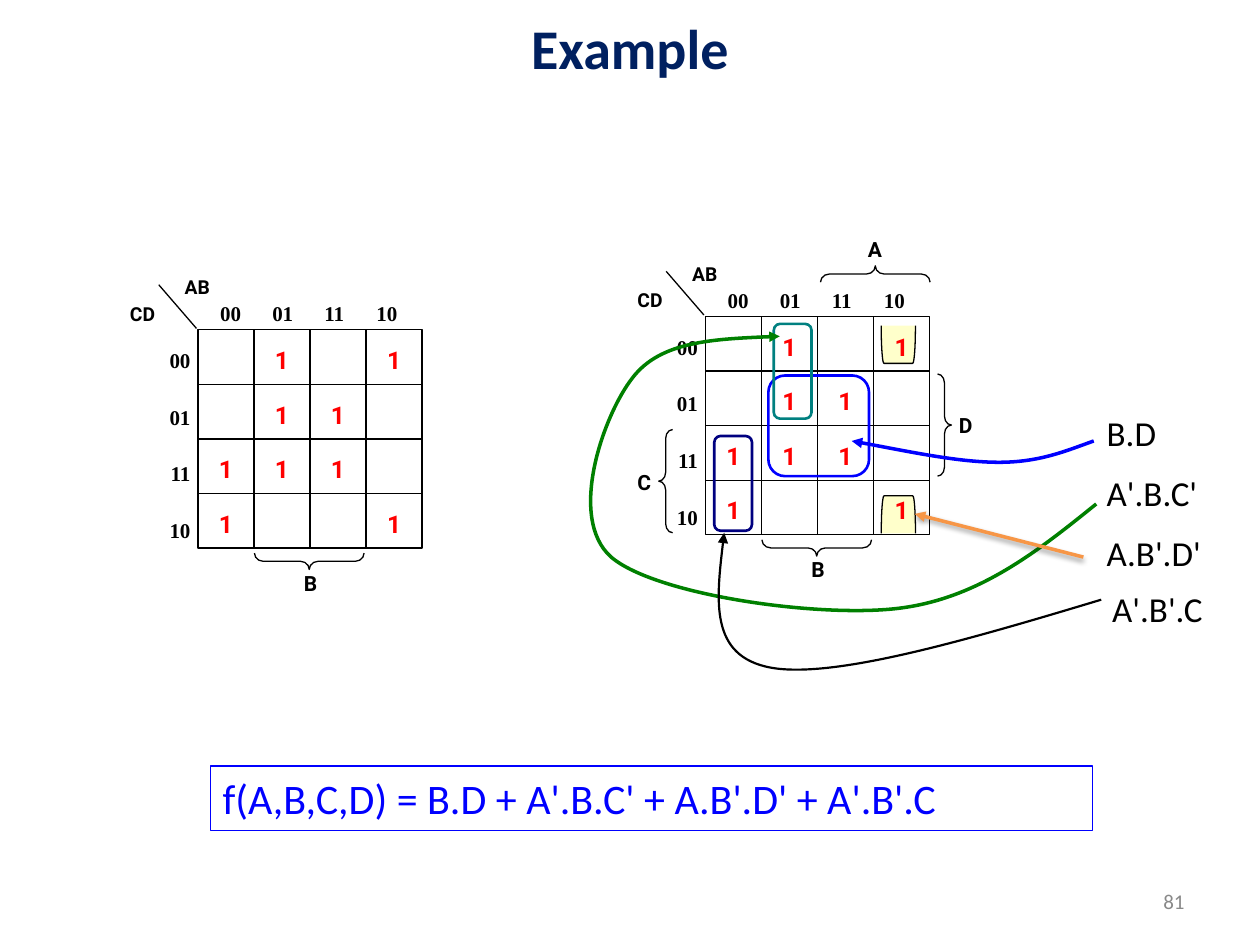
from dataclasses import dataclass
from typing import Any

from lxml import etree
from pptx import Presentation
from pptx.dml.color import RGBColor
from pptx.enum.shapes import MSO_CONNECTOR, MSO_SHAPE
from pptx.enum.text import MSO_ANCHOR, PP_ALIGN
from pptx.oxml.ns import qn
from pptx.util import Cm, Pt

STRAIGHT = MSO_CONNECTOR.STRAIGHT
RECTANGLE, ROUNDED = MSO_SHAPE.RECTANGLE, MSO_SHAPE.ROUNDED_RECTANGLE
LEFT_BRACE, RIGHT_BRACE = MSO_SHAPE.LEFT_BRACE, MSO_SHAPE.RIGHT_BRACE
BRACKET = MSO_SHAPE.LEFT_BRACKET
LEFT, CENTER, RIGHT = PP_ALIGN.LEFT, PP_ALIGN.CENTER, PP_ALIGN.RIGHT
TOP, MIDDLE = MSO_ANCHOR.TOP, MSO_ANCHOR.MIDDLE

Box = tuple[float, float, float, float]
Point = tuple[float, float]

CODES = ["00", "01", "11", "10"]
COLUMN, ROW = 1.13, 1.1
HEADER_STEP = 1.05
MINTERMS = [(0, 1), (0, 3), (1, 1), (1, 2), (2, 0), (2, 1), (2, 2), (3, 0), (3, 3)]


@dataclass
class Style:
    size: float
    font: str
    color: str = "000000"
    bold: bool = False
    align: PP_ALIGN = CENTER
    anchor: MSO_ANCHOR = TOP
    space_before: float = 0


@dataclass
class Outline:
    kind: MSO_SHAPE
    box: Box
    color: str = "000000"
    width: float = 0.75
    adjust: float | None = None
    rotation: float = 0
    fill: str | None = None


@dataclass
class Curve:
    points: list[Point]
    color: str
    width: float


VARIABLE = Style(12, "Roboto", bold=True)
CORNER = Style(11, "Roboto", bold=True)
ONE = Style(14, "Roboto", "FF0000", True)
COLUMN_CODES = Style(12, "Times New Roman", bold=True, align=LEFT)
ROW_CODES = Style(12, "Times New Roman", bold=True, align=RIGHT, space_before=18)
TERM = Style(20, "Calibri", align=LEFT, space_before=10)
FORMULA = Style(24, "Calibri", "0000FF", align=LEFT)
TITLE = Style(32, "Calibri", "002060", True, anchor=MIDDLE)
PAGE = Style(12, "Calibri", "898989", align=RIGHT, anchor=MIDDLE)

CORNER_BRACKETS = [
    Outline(BRACKET, (17.73, 10.03, 0.76, 0.69), adjust=0.08, rotation=90, fill="FFFF99"),
    Outline(BRACKET, (17.73, 6.6, 0.76, 0.69), adjust=0.08, rotation=270, fill="FFFF99"),
]
VARIABLE_BRACES = [
    ("A", (17.22, 4.65, 0.84, 0.69),
     Outline(LEFT_BRACE, (17.48, 4.42, 0.33, 2.21), adjust=0.54, rotation=90)),
    ("C", (12.57, 9.35, 0.84, 0.89),
     Outline(LEFT_BRACE, (13.28, 8.66, 0.28, 2.08), adjust=0.64)),
    ("D", (19.05, 8.2, 0.84, 0.89),
     Outline(RIGHT_BRACE, (18.9, 7.54, 0.28, 2.06), adjust=0.64)),
]
LOOPS = [
    Outline(ROUNDED, (15.49, 7.57, 2.03, 2.03), "0000FF", 1.5),
    Outline(ROUNDED, (15.6, 6.53, 0.76, 1.91), "008080", 1.5),
    Outline(ROUNDED, (14.4, 8.79, 0.76, 1.91), "000080", 1.5),
]
TERM_ARROWS = [
    Curve([(22.05, 8.89), (21.49, 9.09), (20.96, 9.32), (20.14, 9.32),
           (19.33, 9.32), (18.26, 9.09), (17.17, 8.89)], "0000FF", 2),
    Curve([(22.1, 10.16), (20.9, 11.13), (19.69, 12.09), (18.06, 12.27),
           (16.43, 12.45), (13.21, 11.99), (12.32, 11.23),
           (11.43, 10.44), (12.17, 8.36), (12.75, 7.62),
           (13.31, 6.88), (14.5, 6.83), (15.72, 6.78)], "008000", 2),
    Curve([(22.2, 12.09), (19.51, 12.9), (16.81, 13.69), (15.54, 13.46),
           (14.3, 13.23), (14.45, 11.99), (14.6, 10.74)], "000000", 1.25),
]


def rgb(color: str) -> RGBColor:
    return RGBColor.from_string(color)


def lengths(values: tuple[float, ...]) -> list[Cm]:
    return [Cm(value) for value in values]


def set_line(item: Any, color: str, width: float) -> None:
    item.line.color.rgb = rgb(color)
    item.line.width = Pt(width)


def add_arrowhead(item: Any) -> None:
    etree.SubElement(item.line._get_or_add_ln(), qn("a:tailEnd"), type="triangle")


def write(target: Any, lines: list[str], style: Style) -> None:
    frame = target.text_frame
    frame.word_wrap = True
    frame.vertical_anchor = style.anchor
    frame.text = "\n".join(lines)
    for index, paragraph in enumerate(frame.paragraphs):
        paragraph.alignment = style.align
        if index:
            paragraph.space_before = Pt(style.space_before)
        for run in paragraph.runs:
            run.font.size = Pt(style.size)
            run.font.name = style.font
            run.font.bold = style.bold
            run.font.color.rgb = rgb(style.color)


def add_text(shapes: Any, box: Box, lines: list[str], style: Style) -> Any:
    label = shapes.add_textbox(*lengths(box))
    write(label, lines, style)
    return label


def add_outline(shapes: Any, outline: Outline) -> Any:
    shape = shapes.add_shape(outline.kind, *lengths(outline.box))
    shape.shadow.inherit = False
    shape.rotation = outline.rotation
    if outline.adjust is not None:
        shape.adjustments[0] = outline.adjust
    if outline.fill:
        shape.fill.solid()
        shape.fill.fore_color.rgb = rgb(outline.fill)
        tint = shape._element.spPr.find(qn("a:solidFill"))[0]
        etree.SubElement(tint, qn("a:alpha"), val="50000")
    else:
        shape.fill.background()
    set_line(shape, outline.color, outline.width)
    return shape


def add_line(shapes: Any, start: Point, end: Point, color: str = "000000", width: float = 0.75) -> Any:
    line = shapes.add_connector(STRAIGHT, *lengths(start + end))
    set_line(line, color, width)
    etree.SubElement(line._element.spPr, qn("a:effectLst"))
    return line


def add_curve(shapes: Any, curve: Curve) -> None:
    start, *rest = [tuple(lengths(point)) for point in curve.points]
    builder = shapes.build_freeform(*start)
    builder.add_line_segments(rest, close=False)
    shape = builder.convert_to_shape()
    outline = next(shape._element.iter(qn("a:path")))
    segments = outline.findall(qn("a:lnTo"))
    for first in range(0, len(segments), 3):
        bezier = etree.SubElement(outline, qn("a:cubicBezTo"))
        for segment in segments[first:first + 3]:
            bezier.append(segment[0])
            outline.remove(segment)
    shape.shadow.inherit = False
    shape.fill.background()
    set_line(shape, curve.color, curve.width)
    add_arrowhead(shape)


def add_map(shapes: Any, x: float, y: float) -> None:
    width, height = 4 * COLUMN, 4 * ROW
    grid = add_outline(shapes, Outline(RECTANGLE, (x, y, width, height)))
    for step in range(1, 4):
        across, down = x + step * COLUMN, y + step * ROW
        vertical = add_line(shapes, (across, y), (across, y + height))
        horizontal = add_line(shapes, (x, down), (x + width, down))
        if step == 2:
            for divider, first, last in [(vertical, 0, 2), (horizontal, 1, 3)]:
                divider.begin_connect(grid, first)
                divider.end_connect(grid, last)
    add_line(shapes, (x - 0.03, y - 0.03), (x - 0.79, y - 0.91))
    add_text(shapes, (x - 1.9, y - 0.69, 1.57, 0.74), ["CD"], CORNER)
    add_text(shapes, (x - 0.66, y - 1.22, 1.3, 0.74), ["AB"], CORNER)
    add_text(shapes, (x - 0.89, y + 0.23, 0.99, 4.55), CODES, ROW_CODES)
    header = add_text(shapes, (x + 0.2, y - 0.71, 4.22, 0.89), ["\t".join(CODES)], COLUMN_CODES)
    properties = header.text_frame.paragraphs[0]._p.get_or_add_pPr()
    tabs = etree.SubElement(properties, qn("a:tabLst"))
    for step in range(1, 4):
        etree.SubElement(tabs, qn("a:tab"), pos=str(Cm(step * HEADER_STEP)), algn="l")
    add_outline(shapes, Outline(LEFT_BRACE, (x + 2.08, y + 3.56, 0.33, 2.21), adjust=0.54, rotation=270))
    add_text(shapes, (x + 1.85, y + 4.72, 0.84, 0.66), ["B"], VARIABLE)
    for row, column in MINTERMS:
        add_text(shapes, (x + column * COLUMN, y + row * ROW + 0.18, COLUMN, 0.88), ["1"], ONE)


def main() -> None:
    deck = Presentation()
    deck.slide_width, deck.slide_height = Cm(25.4), Cm(19.05)
    shapes = deck.slides.add_slide(deck.slide_layouts[6]).shapes
    add_text(shapes, (0, 0, 25.4, 1.9), ["Example"], TITLE)
    add_text(shapes, (18.21, 17.65, 5.92, 1.02), ["81"], PAGE)
    for bracket in CORNER_BRACKETS:
        add_outline(shapes, bracket)
    add_map(shapes.add_group_shape().shapes, 3.99, 6.65)
    solved = shapes.add_group_shape().shapes
    add_map(solved, 14.22, 6.38)
    for variable, box, brace in VARIABLE_BRACES:
        add_outline(solved, brace)
        add_text(solved, box, [variable], VARIABLE)
    for loop in LOOPS:
        add_outline(shapes, loop)
    for curve in TERM_ARROWS:
        add_curve(shapes, curve)
    arrow = add_line(shapes, (21.84, 11.23), (18.44, 10.36), "F79646", 2)
    add_arrowhead(arrow)
    shadow = etree.SubElement(arrow._element.spPr.find(qn("a:effectLst")), qn("a:outerShdw"),
                              blurRad=str(Pt(3.1)), dist=str(Pt(1.6)), dir="5400000", rotWithShape="0")
    shade = etree.SubElement(shadow, qn("a:srgbClr"), val="000000")
    etree.SubElement(shade, qn("a:alpha"), val="38000")
    add_text(shapes, (22.06, 8.18, 3.3, 3.68), ["B.D", "A'.B.C'", "A.B'.D'"], TERM)
    add_text(shapes, (22.17, 11.71, 2.82, 1.12), ["A'.B'.C"], TERM)
    formula = add_outline(shapes, Outline(RECTANGLE, (4.24, 15.44, 17.78, 1.3), "0000FF"))
    write(formula, ["f(A,B,C,D) = B.D + A'.B.C' + A.B'.D' + A'.B'.C"], FORMULA)
    deck.save("out.pptx")


if __name__ == "__main__":
    main()
